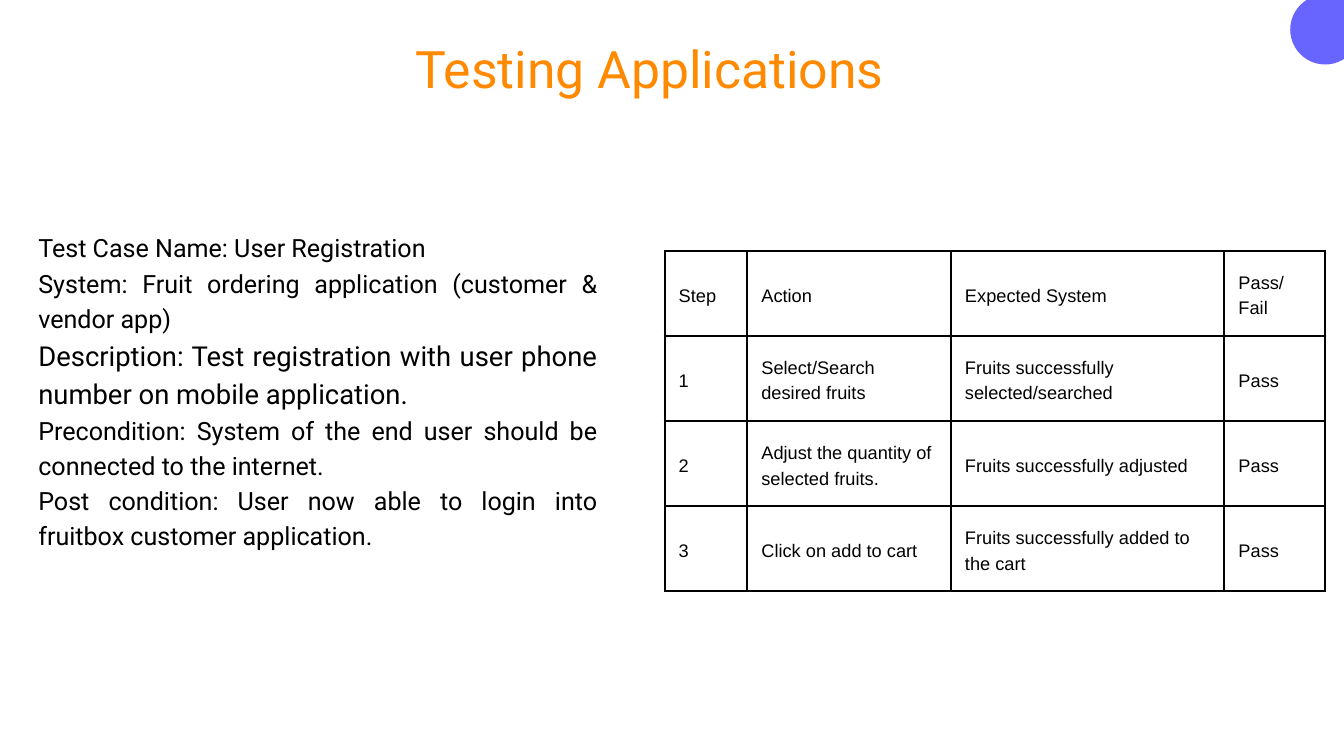
from lxml.etree import SubElement
from pptx import Presentation
from pptx.dml.color import RGBColor
from pptx.enum.shapes import MSO_SHAPE as Shape
from pptx.enum.text import MSO_ANCHOR as Anchor, MSO_AUTO_SIZE as AutoSize, PP_ALIGN as Align
from pptx.oxml.ns import qn
from pptx.util import Inches, Pt

BLACK, ORANGE, VIOLET = "000000", "FF8A01", "6865FF"

TEST_CASE = [  # text, size, line spacing
    ("Test Case Name: User Registration", 26.9, 37.7),
    ("System: Fruit ordering application (customer & vendor app)", 26.9, 37.7),
    ("Description: Test registration with user phone number on mobile application.", 29.4, 41.1),
    ("Precondition: System of the end user should be connected to the internet.", 26.9, 37.7),
    ("Post condition: User now able to login into fruitbox customer application.", 26.9, 37.7),
]
STEPS = [
    ("Step", "Action", "Expected System", "Pass/Fail"),
    ("1", "Select/Search desired fruits", "Fruits successfully selected/searched", "Pass"),
    ("2", "Adjust the quantity of selected fruits.", "Fruits successfully adjusted", "Pass"),
    ("3", "Click on add to cart", "Fruits successfully added to the cart", "Pass"),
]
COLUMN_WIDTHS = (1.23, 3.03, 4.07, 1.5)


def color(hex_code):
    return RGBColor.from_string(hex_code)


def write(paragraph, text, font_name, size, spacing, hex_code=BLACK, align=None):
    paragraph.line_spacing = Pt(spacing)
    paragraph.alignment = align
    run = paragraph.add_run()
    run.text = text
    run.font.name = font_name
    run.font.size = Pt(size)
    run.font.color.rgb = color(hex_code)


def add_text_frame(slide, left, top, width, height):
    """Add a wrapping text box without margins and return its text frame."""
    box = slide.shapes.add_textbox(Inches(left), Inches(top), Inches(width), Inches(height))
    frame = box.text_frame
    frame.word_wrap = True
    frame.auto_size = AutoSize.SHAPE_TO_FIT_TEXT
    frame.margin_left = frame.margin_top = frame.margin_right = frame.margin_bottom = 0
    return frame


def add_corner_circle(slide, left, top, diameter):
    circle = slide.shapes.add_shape(
        Shape.OVAL, Inches(left), Inches(top), Inches(diameter), Inches(diameter))
    circle.shadow.inherit = False
    circle.fill.solid()
    circle.fill.fore_color.rgb = color(VIOLET)
    circle.line.fill.background()


def add_title(slide, left, top, width, height):
    frame = add_text_frame(slide, left, top, width, height)
    write(frame.paragraphs[0], "Testing Applications", "Roboto", 55.4, 77.5, ORANGE, Align.CENTER)


def add_test_case(slide, left, top, width, height):
    frame = add_text_frame(slide, left, top, width, height)
    for index, (text, size, spacing) in enumerate(TEST_CASE):
        paragraph = frame.add_paragraph() if index else frame.paragraphs[0]
        write(paragraph, text, "Roboto", size, spacing, align=Align.JUSTIFY)


def set_borders(cell, width, hex_code):
    properties = cell._tc.get_or_add_tcPr()
    for side in ("a:lnL", "a:lnR", "a:lnT", "a:lnB"):
        line = SubElement(properties, qn(side), w=str(Pt(width)))
        fill = SubElement(line, qn("a:solidFill"))
        SubElement(fill, qn("a:srgbClr"), val=hex_code)


def add_steps_table(slide, left, top, width, height):
    table = slide.shapes.add_table(
        len(STEPS), len(COLUMN_WIDTHS),
        Inches(left), Inches(top), Inches(width), Inches(height)).table
    table.first_row = table.horz_banding = False
    for column, column_width in zip(table.columns, COLUMN_WIDTHS):
        column.width = Inches(column_width)
    for row, texts in zip(table.rows, STEPS):
        row.height = Inches(height / len(STEPS))
        for cell, text in zip(row.cells, texts):
            cell.vertical_anchor = Anchor.MIDDLE
            cell.margin_left = cell.margin_right = Inches(0.21)
            cell.margin_top = cell.margin_bottom = Inches(0.21)
            set_borders(cell, 2.25, BLACK)
            cell.fill.background()
            write(cell.text_frame.paragraphs[0], text, "Arial", 19.5, 27.3)


def main():
    presentation = Presentation()
    presentation.slide_width = Inches(20)
    presentation.slide_height = Inches(11.25)
    slide = presentation.slides.add_slide(presentation.slide_layouts[6])
    add_corner_circle(slide, 19.2, -0.08, 1.04)
    add_steps_table(slide, 9.89, 3.73, sum(COLUMN_WIDTHS), 5.07)
    add_title(slide, 5.82, 0.4, 7.7, 1.02)
    add_test_case(slide, 0.57, 3.39, 8.32, 4.76)
    presentation.save("out.pptx")


if __name__ == "__main__":
    main()
